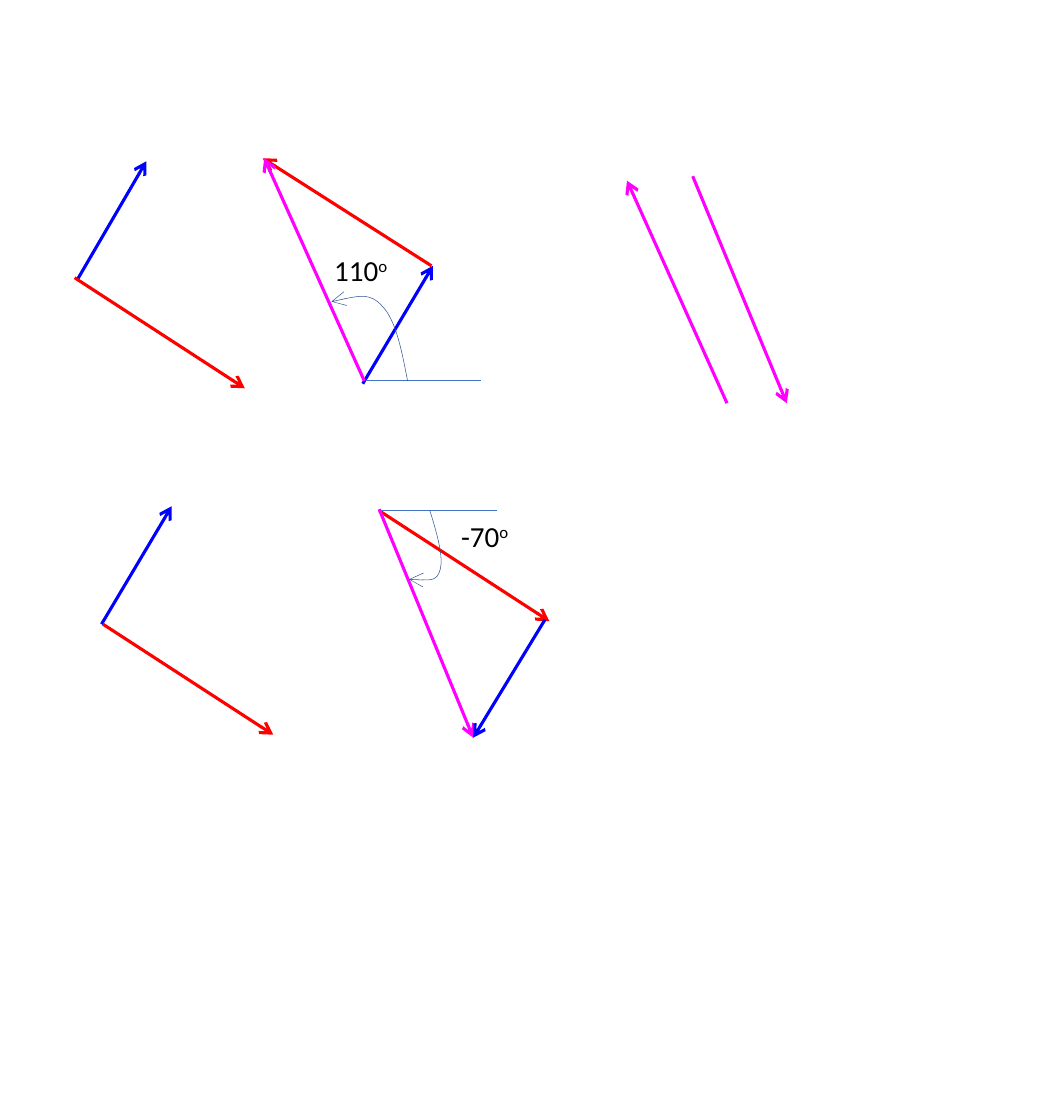
import dataclasses

import pptx
import pptx.dml.color
import pptx.enum.shapes
import pptx.enum.text
import pptx.oxml
import pptx.oxml.ns
import pptx.util
from pptx.util import Inches


@dataclasses.dataclass(frozen=True)
class Theme:
    blue: str = "0000FF"
    red: str = "FF0000"
    magenta: str = "FF00FF"
    axis: str = "4472C4"
    arc: str = "325491"
    text: str = "000000"
    font: str = "Calibri"
    label_size: float = 14
    vector_width: float = 1.5
    axis_width: float = 0.5
    arc_width: float = 0.25


THEME = Theme()


def apply_format(target, values):
    for name, value in values.items():
        setattr(target, name, value)


def format_line(line, color, width):
    line.color.rgb = pptx.dml.color.RGBColor.from_string(color)
    line.width = pptx.util.Pt(width)


def add_arrowhead(shape):
    ln = shape.line._get_or_add_ln()
    ln.append(pptx.oxml.parse_xml(
        f'<a:tailEnd {pptx.oxml.ns.nsdecls("a")} type="arrow"/>'))


def add_line(s, start, end, color, width):
    line = s.shapes.add_connector(
        pptx.enum.shapes.MSO_CONNECTOR.STRAIGHT,
        *(Inches(v) for v in start + end))
    format_line(line.line, color, width)
    line._element.spPr.append(pptx.oxml.parse_xml(
        f'<a:effectLst {pptx.oxml.ns.nsdecls("a")}/>'))
    return line


def add_vector(s, start, end, color):
    add_arrowhead(add_line(s, start, end, color, THEME.vector_width))


def add_axis(s, x, y, length=0.77):
    add_line(s, (x, y), (x + length, y), THEME.axis, THEME.axis_width)


def add_arc(s, points):
    pts = [(Inches(x), Inches(y)) for x, y in points]
    builder = s.shapes.build_freeform(*pts[0])
    builder.add_line_segments(pts[1:], close=False)
    arc = builder.convert_to_shape()
    arc.shadow.inherit = False
    arc.fill.background()
    format_line(arc.line, THEME.arc, THEME.arc_width)
    add_arrowhead(arc)
    qn = pptx.oxml.ns.qn
    segments = list(arc._element.iter(qn("a:lnTo")))
    outline = segments[0].getparent()
    for i in range(0, len(segments), 3):
        curve = pptx.oxml.parse_xml(
            f'<a:cubicBezTo {pptx.oxml.ns.nsdecls("a")}/>')
        for segment in segments[i:i + 3]:
            curve.append(segment[0])
            outline.remove(segment)
        outline.append(curve)


def add_angle_label(s, x, y, width, degrees):
    tb = s.shapes.add_textbox(
        Inches(x), Inches(y), Inches(width), Inches(0.34))
    tf = tb.text_frame
    apply_format(tf, {
        "word_wrap": False,
        "auto_size": pptx.enum.text.MSO_AUTO_SIZE.SHAPE_TO_FIT_TEXT,
    })
    p = tf.paragraphs[0]
    for text in (degrees, "o"):
        r = p.add_run()
        r.text = text
        apply_format(r.font, {
            "name": THEME.font, "size": pptx.util.Pt(THEME.label_size)})
        r.font.color.rgb = pptx.dml.color.RGBColor.from_string(THEME.text)
    r._r.get_or_add_rPr().set("baseline", "30000")


def add_upper_difference(s):
    add_vector(s, (0.52, 1.87), (0.98, 1.08), THEME.blue)
    add_vector(s, (0.5, 1.86), (1.64, 2.6), THEME.red)
    add_vector(s, (2.89, 1.78), (1.76, 1.06), THEME.red)
    add_vector(s, (2.43, 2.57), (2.9, 1.78), THEME.blue)
    add_vector(s, (2.44, 2.55), (1.77, 1.06), THEME.magenta)
    add_axis(s, 2.45, 2.55)
    add_arc(s, [(2.73, 2.55), (2.69, 2.34), (2.65, 2.14), (2.56, 2.05),
                (2.48, 1.96), (2.35, 1.99), (2.22, 2.02)])
    add_angle_label(s, 2.14, 1.64, 0.57, "110")


def add_lower_difference(s):
    add_vector(s, (0.68, 4.18), (1.15, 3.39), THEME.blue)
    add_vector(s, (2.54, 3.42), (3.68, 4.16), THEME.red)
    add_vector(s, (2.54, 3.41), (3.17, 4.94), THEME.magenta)
    add_axis(s, 2.56, 3.42)
    add_angle_label(s, 2.99, 3.42, 0.53, "-70")
    add_vector(s, (0.69, 4.18), (1.83, 4.92), THEME.red)
    add_vector(s, (3.65, 4.15), (3.17, 4.94), THEME.blue)
    add_arc(s, [(2.88, 3.42), (2.93, 3.58), (2.97, 3.73), (2.95, 3.81),
                (2.93, 3.89), (2.84, 3.89), (2.74, 3.88)])


def add_opposite_results(s):
    add_vector(s, (4.64, 1.18), (5.27, 2.7), THEME.magenta)
    add_vector(s, (4.87, 2.7), (4.2, 1.21), THEME.magenta)


def main():
    prs = pptx.Presentation()
    prs.slide_width = Inches(18 / 2.54)
    prs.slide_height = Inches(7.5)
    s = prs.slides.add_slide(prs.slide_layouts[6])
    add_upper_difference(s)
    add_lower_difference(s)
    add_opposite_results(s)
    prs.save("out.pptx")


if __name__ == "__main__":
    main()
